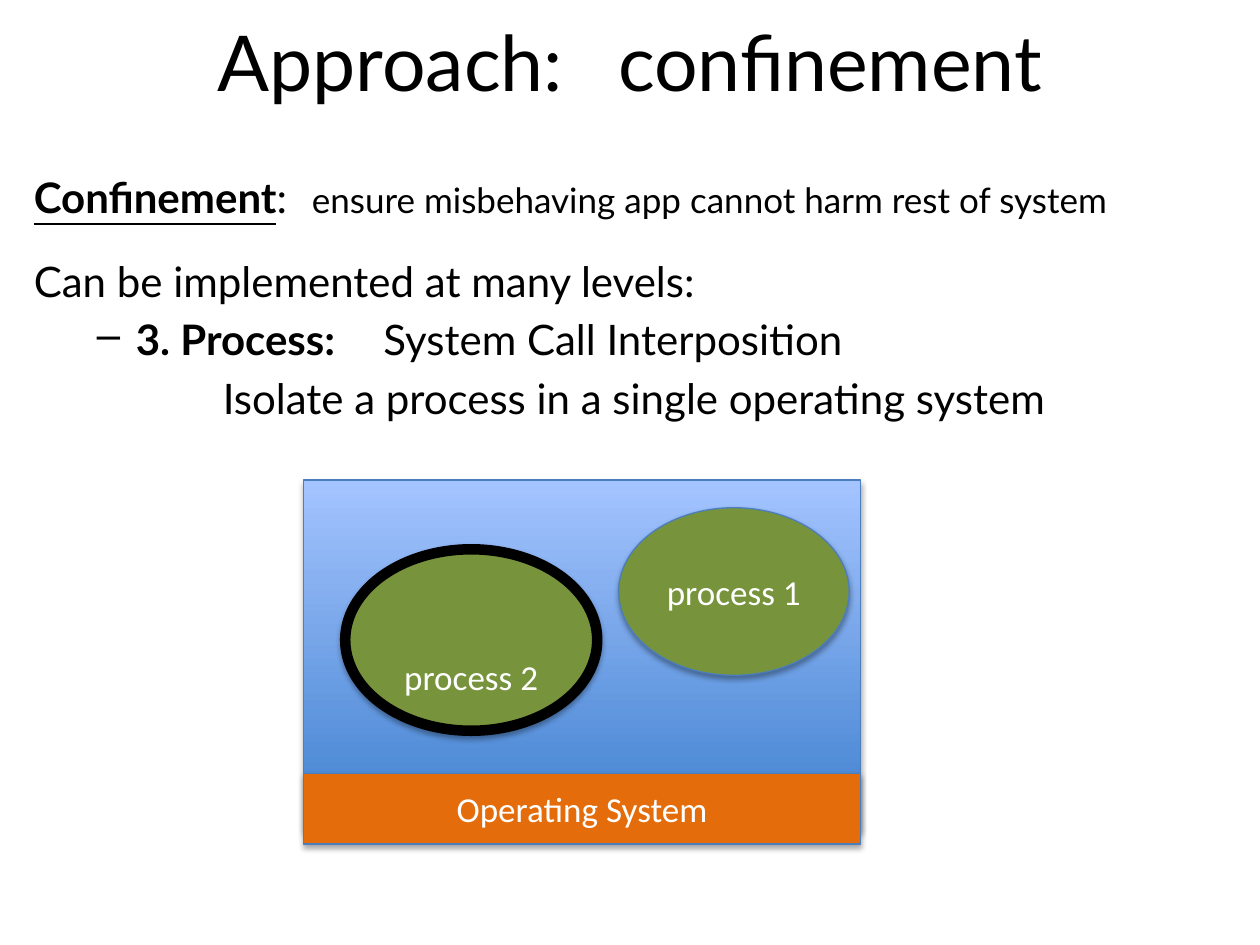
from lxml import etree
from pptx import Presentation
from pptx.dml.color import RGBColor
from pptx.enum.shapes import MSO_SHAPE
from pptx.enum.text import MSO_ANCHOR, PP_ALIGN
from pptx.oxml.ns import qn
from pptx.util import Inches, Pt

RECT, OVAL = MSO_SHAPE.RECTANGLE, MSO_SHAPE.OVAL
MIDDLE, BOTTOM = MSO_ANCHOR.MIDDLE, MSO_ANCHOR.BOTTOM
CENTER = PP_ALIGN.CENTER
COLORS = {"text": "000000", "label": "FFFFFF", "process": "77933C",
          "os": "E46C0A", "edge": "4B7EBC", "ring": "000000",
          "deep": "3F80CE", "light": "A4C4FF"}
SPACE_WIDTH = 0.226  # width of a space, in ems


def add_run(p, text, color="text", widen=0, **font):
    """Add a run; widen spaces it out by that many space widths."""
    r = p.add_run()
    r.text = text
    r.font.color.rgb = RGBColor.from_string(COLORS[color])
    for name, value in font.items():
        setattr(r.font, name, value)
    if widen:
        spacing = widen * SPACE_WIDTH * font["size"].pt
        r.font._element.set("spc", str(round(spacing * 100)))


def add_shadow(sp):
    sp.shadow.inherit = False
    effects = sp._element.spPr.find(qn("a:effectLst"))
    shadow = etree.SubElement(effects, qn("a:outerShdw"), blurRad="40000",
                              dist="23000", dir="5400000", rotWithShape="0")
    color = etree.SubElement(shadow, qn("a:srgbClr"), val="000000")
    etree.SubElement(color, qn("a:alpha"), val="35000")


prs = Presentation()
prs.slide_width, prs.slide_height = Inches(10), Inches(7.5)
s = prs.slides.add_slide(prs.slide_layouts[5])

# Title
title = s.shapes.title
title.left, title.top = Inches(0.5), Inches(-0.14)
title.width, title.height = Inches(9), Inches(1.25)
title.text_frame.vertical_anchor = MIDDLE
p = title.text_frame.paragraphs[0]
p.alignment = CENTER
for text, widen in [("Approach:", 0), (" ", 2), ("confinement", 0)]:
    add_run(p, text, widen=widen, size=Pt(44), name="Lato")

# Body: space before, left margin, indent, bullet, runs
PARAGRAPHS = [
    (0, 0, 0, None, [
        ("Confinement", {"bold": True, "underline": True}),
        (":", {}),
        (" ", {"size": Pt(20), "widen": 2}),
        ("ensure misbehaving app cannot harm rest of system", {"size": Pt(20)})]),
    (19.2, 0, 0, None, [("Can be implemented at many levels:", {})]),
    (4.8, 0.81, -0.31, "–", [
        ("3. Process:", {"bold": True}),
        (" ", {"bold": True, "widen": 4}),
        ("System Call Interposition", {})]),
    (4.8, 1.5, 0, None, [
        ("Isolate a process in a single operating system", {})]),
]
body = s.shapes.add_textbox(Inches(0.17), Inches(1.31), Inches(9.5), Inches(6.17))
tf = body.text_frame
tf.word_wrap = True
for i, (before, margin, indent, bullet, runs) in enumerate(PARAGRAPHS):
    p = tf.add_paragraph() if i else tf.paragraphs[0]
    p.space_before = Pt(before)
    pPr = p._p.get_or_add_pPr()
    pPr.set("marL", str(Inches(margin)))
    pPr.set("indent", str(Inches(indent)))
    if bullet:
        etree.SubElement(pPr, qn("a:buChar"), char=bullet)
    for text, font in runs:
        add_run(p, text, **{"size": Pt(24), "name": "Lato", **font})

# Diagram: shape, box, fill, line colour, line width, anchor, label
SHAPES = [
    (RECT, (2.41, 3.81, 4.42, 2.78), None, "edge", 0.75, MIDDLE, None),
    (RECT, (2.41, 6.14, 4.42, 0.56), "os", "edge", 0.75, MIDDLE, "Operating System"),
    (OVAL, (2.74, 4.36, 2, 1.44), "process", "ring", 6, BOTTOM, "process 2"),
    (OVAL, (4.91, 4.03, 1.83, 1.33), "process", "edge", 0.75, MIDDLE, "process 1"),
]
for kind, box, fill, line, width, anchor, label in SHAPES:
    sp = s.shapes.add_shape(kind, *map(Inches, box))
    if fill:
        sp.fill.solid()
        sp.fill.fore_color.rgb = RGBColor.from_string(COLORS[fill])
    else:
        sp.fill.gradient()
        sp.fill.gradient_angle = 90
        for stop, name in zip(sp.fill.gradient_stops, ("deep", "light")):
            stop.color.rgb = RGBColor.from_string(COLORS[name])
    sp.line.color.rgb = RGBColor.from_string(COLORS[line])
    sp.line.width = Pt(width)
    add_shadow(sp)
    if label:
        tf = sp.text_frame
        tf.vertical_anchor = anchor
        p = tf.paragraphs[0]
        p.alignment = CENTER
        add_run(p, label, "label", size=Pt(20), name="Calibri")

prs.save("out.pptx")
